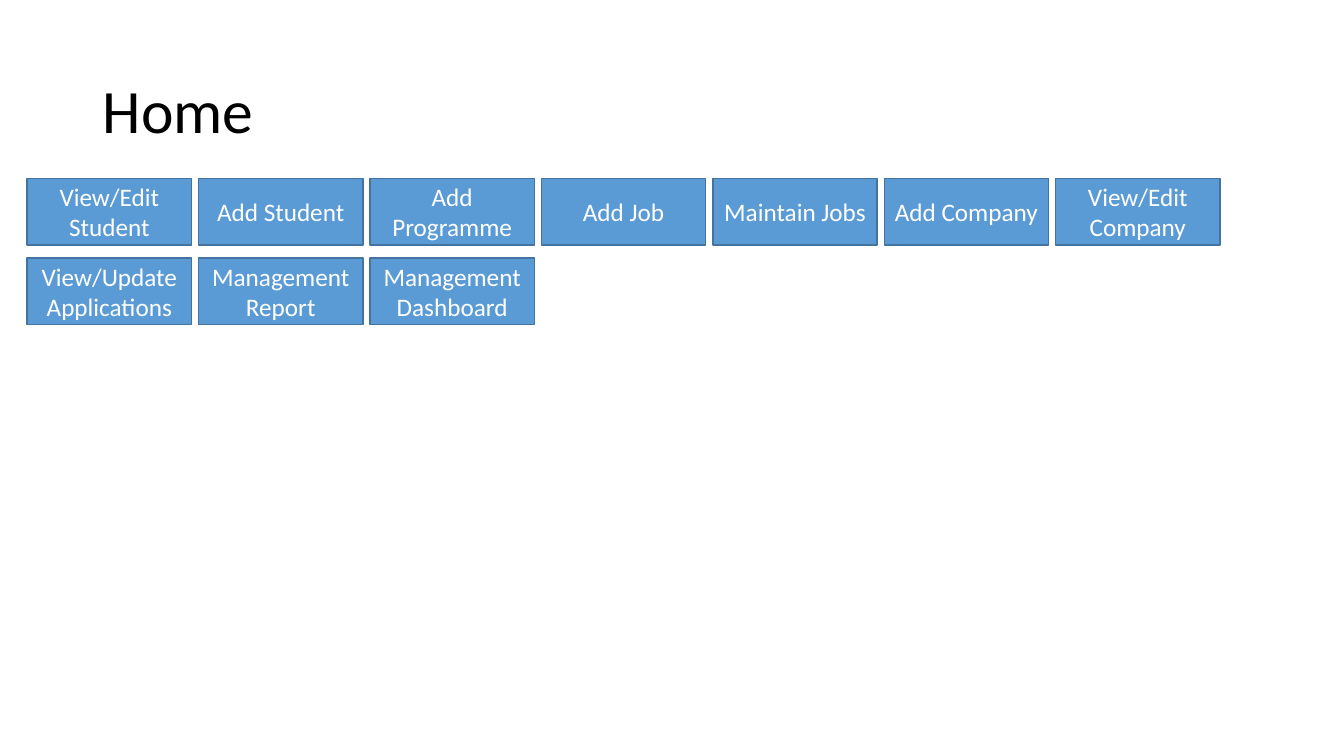
from dataclasses import dataclass

from pptx import Presentation
from pptx.dml.color import RGBColor
from pptx.enum.shapes import MSO_SHAPE
from pptx.enum.text import MSO_ANCHOR, PP_ALIGN
from pptx.slide import Slide
from pptx.text.text import _Paragraph as Paragraph
from pptx.util import Inches, Pt

FONT = "Calibri"
BLACK = RGBColor(0x00, 0x00, 0x00)
WHITE = RGBColor(0xFF, 0xFF, 0xFF)
BLUE = RGBColor(0x5B, 0x9B, 0xD5)
DARK_BLUE = RGBColor(0x43, 0x73, 0x9E)

# Button grid, in inches
GRID_LEFT, GRID_TOP = 0.27, 1.77
COLUMN_STEP, ROW_STEP = 1.7, 0.79
BUTTON_WIDTH, BUTTON_HEIGHT = 1.63, 0.66


@dataclass(frozen=True)
class MenuButton:
    label: str
    row: int
    column: int


MENU_ROWS = [
    ["View/Edit Student", "Add Student", "Add Programme", "Add Job",
     "Maintain Jobs", "Add Company", "View/Edit Company"],
    ["View/Update Applications", "Management Report", "Management Dashboard"],
]
MENU_BUTTONS = [
    MenuButton(label, row, column)
    for row, labels in enumerate(MENU_ROWS)
    for column, label in enumerate(labels)
]


def add_span(para: Paragraph, text: str, size: int, color: RGBColor) -> None:
    span = para.add_run()
    span.text = text
    span.font.name = FONT
    span.font.size = Pt(size)
    span.font.color.rgb = color


def set_title(page: Slide, text: str) -> None:
    title = page.shapes.title
    title.left, title.top = Inches(0.92), Inches(0.4)
    title.width, title.height = Inches(11.5), Inches(1.45)
    title.text_frame.word_wrap = True
    title.text_frame.vertical_anchor = MSO_ANCHOR.MIDDLE
    para = title.text_frame.paragraphs[0]
    para.alignment = PP_ALIGN.LEFT
    para.line_spacing = 0.9
    add_span(para, text, 44, BLACK)


def add_button(page: Slide, button: MenuButton) -> None:
    box = page.shapes.add_shape(
        MSO_SHAPE.RECTANGLE,
        Inches(GRID_LEFT + button.column * COLUMN_STEP),
        Inches(GRID_TOP + button.row * ROW_STEP),
        Inches(BUTTON_WIDTH), Inches(BUTTON_HEIGHT))
    box.shadow.inherit = False
    box.fill.solid()
    box.fill.fore_color.rgb = BLUE
    box.line.color.rgb = DARK_BLUE
    box.line.width = Pt(1)
    box.text_frame.word_wrap = True
    box.text_frame.vertical_anchor = MSO_ANCHOR.MIDDLE
    para = box.text_frame.paragraphs[0]
    para.alignment = PP_ALIGN.CENTER
    add_span(para, button.label, 18, WHITE)


# Deck and title-only page
deck = Presentation()
deck.slide_width, deck.slide_height = Inches(13.33), Inches(7.5)
page = deck.slides.add_slide(deck.slide_layouts.get_by_name("Title Only"))

# Title and menu
set_title(page, "Home")
for button in MENU_BUTTONS:
    add_button(page, button)

deck.save("out.pptx")
